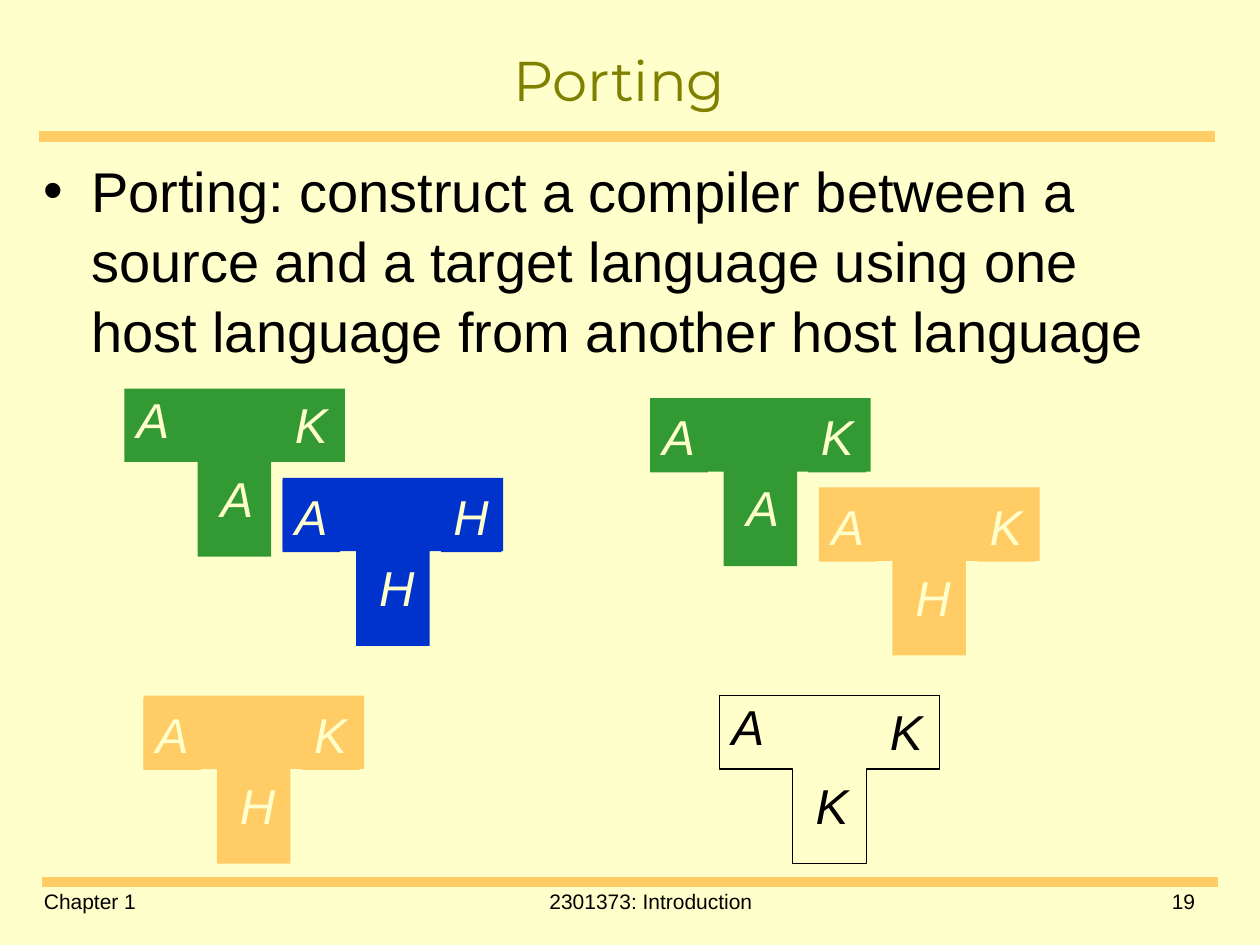
"""Build the slide on porting a compiler, shown with T-diagrams."""
import dataclasses
import typing

import lxml.etree
import pptx
import pptx.dml.color
import pptx.enum.shapes
import pptx.enum.text
import pptx.oxml.ns
import pptx.util

Pt = pptx.util.Pt
Align = pptx.enum.text.PP_ALIGN
Anchor = pptx.enum.text.MSO_ANCHOR

CREAM, AMBER, OLIVE = "FFFFCC", "FFCC66", "808000"
GREEN, BLUE, BLACK = "339933", "0033CC", "000000"
ARM, STEM = 42, 54
WIDTH = 3 * ARM


@dataclasses.dataclass(frozen=True)
class Diagram:
    left: float
    top: float
    source: str
    target: str
    host: str
    fill: typing.Optional[str]
    source_drop: float = 1.5
    target_drop: float = 1.5
    backed_labels: bool = True


@dataclasses.dataclass(frozen=True)
class Caption:
    text: str
    box: tuple[float, float, float, float]
    align: Align
    size: float = 12
    font: str = "Arial"
    color: str = BLACK
    anchor: Anchor = Anchor.TOP


DIAGRAMS = (
    Diagram(71, 222, "A", "K", "A", GREEN, -3, 0, False),
    Diagram(161.5, 273, "A", "H", "H", BLUE),
    Diagram(468, 278.5, "A", "K", "H", AMBER),
    Diagram(371.5, 227.5, "A", "K", "A", GREEN),
    Diagram(82, 397.5, "A", "K", "H", AMBER),
    Diagram(411, 397.5, "A", "K", "K", None, -3, 0, False),
)

CAPTIONS = (
    Caption("Porting", (18, 18, 672, 54), Align.CENTER, 32, "Montserrat", OLIVE, Anchor.MIDDLE),
    Caption("Chapter 1", (18, 504, 162, 24), Align.LEFT),
    Caption("2301373: Introduction", (186, 504, 372, 24), Align.CENTER),
    Caption("19", (600, 504, 90, 24), Align.RIGHT),
)

DEFINITION = (
    "Porting: construct a compiler between a source and a target language "
    "using one host language from another host language"
)


def rgb(value: str) -> pptx.dml.color.RGBColor:
    return pptx.dml.color.RGBColor.from_string(value)


def add_run(paragraph, text: str, size: float, color: str, font: str = "Arial", italic: bool = False) -> None:
    run = paragraph.add_run()
    run.text = text
    run.font.name = font
    run.font.size = Pt(size)
    run.font.italic = italic
    run.font.color.rgb = rgb(color)


def add_rule(slide, left: float, right: float, y: float) -> None:
    rule = slide.shapes.add_connector(
        pptx.enum.shapes.MSO_CONNECTOR.STRAIGHT, Pt(left), Pt(y), Pt(right), Pt(y)
    )
    rule.line.color.rgb = rgb(AMBER)
    rule.line.width = Pt(6)
    lxml.etree.SubElement(rule._element.spPr, pptx.oxml.ns.qn("a:effectLst"))


def add_caption(slide, caption: Caption) -> None:
    frame = slide.shapes.add_textbox(*map(Pt, caption.box)).text_frame
    frame.word_wrap = True
    frame.vertical_anchor = caption.anchor
    paragraph = frame.paragraphs[0]
    paragraph.alignment = caption.align
    add_run(paragraph, caption.text, caption.size, caption.color, caption.font)


def add_definition(slide) -> None:
    frame = slide.shapes.add_textbox(Pt(18), Pt(84.5), Pt(672), Pt(414)).text_frame
    frame.word_wrap = True
    paragraph = frame.paragraphs[0]
    paragraph.line_spacing = 1.04
    properties = paragraph._p.get_or_add_pPr()
    properties.set("marL", str(Pt(27)))
    properties.set("indent", str(-Pt(27)))
    bullet_font = lxml.etree.SubElement(properties, pptx.oxml.ns.qn("a:buFont"))
    bullet_font.set("typeface", "Arial")
    lxml.etree.SubElement(properties, pptx.oxml.ns.qn("a:buChar")).set("char", "•")
    add_run(paragraph, DEFINITION, 32, BLACK)


def add_diagram(slide, diagram: Diagram) -> None:
    group = slide.shapes.add_group_shape()
    left, top = diagram.left, diagram.top
    outline = (
        (WIDTH, 0), (WIDTH, ARM), (2 * ARM, ARM), (2 * ARM, ARM + STEM),
        (ARM, ARM + STEM), (ARM, ARM), (0, ARM),
    )
    builder = group.shapes.build_freeform(Pt(left), Pt(top))
    builder.add_line_segments([(Pt(left + x), Pt(top + y)) for x, y in outline], close=True)
    tee = builder.convert_to_shape()
    tee.shadow.inherit = False
    if diagram.fill:
        tee.fill.solid()
        tee.fill.fore_color.rgb = rgb(diagram.fill)
        tee.line.fill.background()
    else:
        tee.fill.background()
        tee.line.color.rgb = rgb(BLACK)
        tee.line.width = Pt(0.75)

    labels = (
        (diagram.source, 0, diagram.source_drop),
        (diagram.host, 48, ARM),
        (diagram.target, 90.5, diagram.target_drop),
    )
    for language, x, y in labels:
        width = 34.5 if language == "H" else 33
        label = group.shapes.add_textbox(Pt(left + x), Pt(top + y), Pt(width), Pt(41))
        if diagram.backed_labels:
            label.fill.solid()
            label.fill.fore_color.rgb = rgb(diagram.fill)
        frame = label.text_frame
        frame.word_wrap = False
        frame.auto_size = pptx.enum.text.MSO_AUTO_SIZE.SHAPE_TO_FIT_TEXT
        add_run(frame.paragraphs[0], language, 28, CREAM if diagram.fill else BLACK, italic=True)


def main() -> None:
    presentation = pptx.Presentation()
    presentation.slide_width, presentation.slide_height = Pt(720), Pt(540)
    slide = presentation.slides.add_slide(presentation.slide_layouts[6])
    slide.background.fill.solid()
    slide.background.fill.fore_color.rgb = rgb(CREAM)
    add_rule(slide, 22.5, 694.5, 78)
    add_rule(slide, 24, 696, 504)
    add_definition(slide)
    for diagram in DIAGRAMS:
        add_diagram(slide, diagram)
    for caption in CAPTIONS:
        add_caption(slide, caption)
    presentation.save("out.pptx")


if __name__ == "__main__":
    main()
